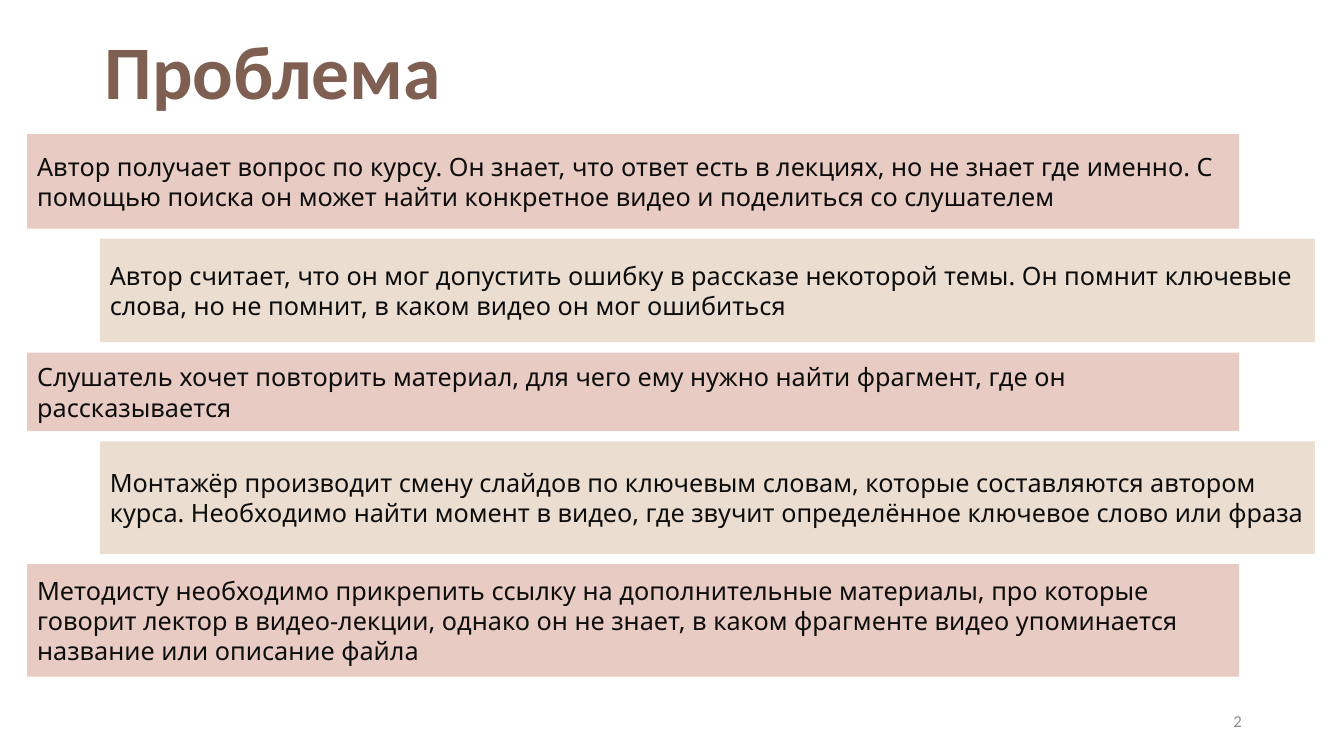
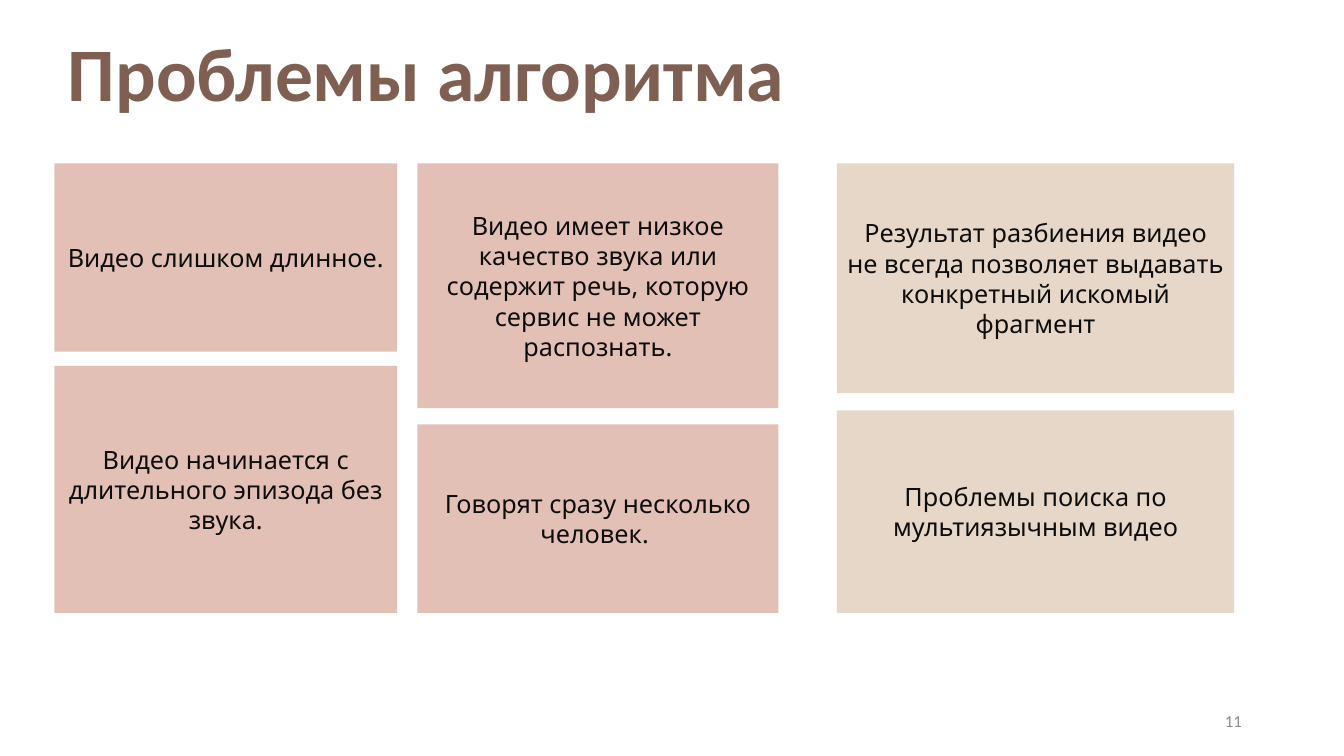
from lxml.etree import SubElement
from pptx import Presentation
from pptx.dml.color import RGBColor
from pptx.enum.shapes import MSO_SHAPE as Shape
from pptx.enum.text import MSO_ANCHOR as Anchor, MSO_AUTO_SIZE as Fit, PP_ALIGN as Align
from pptx.oxml import parse_xml
from pptx.oxml.ns import nsdecls, qn
from pptx.util import Inches, Pt

# Shared style
BROWN = RGBColor(0x7F, 0x5F, 0x52)
RED = RGBColor(0xA5, 0x30, 0x0F)
SAND = RGBColor(0xB2, 0x7D, 0x49)
INK = RGBColor(0x0D, 0x0D, 0x0D)
GREY = RGBColor(0x8C, 0x8C, 0x8C)
HEAD_FONT, BODY_FONT = "Calibri", "Noto Sans"
TITLE_OUTLINE = (f'<a:ln {nsdecls("a")} w="9525"><a:solidFill>'
                 '<a:srgbClr val="FFFFFF"/></a:solidFill></a:ln>')


def write(tf, text, font=BODY_FONT, size=18, color=INK, bold=False,
          align=Align.LEFT, anchor=Anchor.MIDDLE, wrap=True):
    """Put one formatted paragraph into a text frame and return its run."""
    tf.word_wrap = wrap
    tf.vertical_anchor = anchor
    p = tf.paragraphs[0]
    p.alignment = align
    r = p.add_run()
    r.text = text
    r.font.name, r.font.size, r.font.bold = font, Pt(size), bold
    r.font.color.rgb = color
    return r


class Deck:
    """Style and current slide; lengths are percentages of the slide."""

    def __init__(self):
        self.prs = Presentation()
        self.prs.slide_width, self.prs.slide_height = Inches(13.33), Inches(7.5)
        self.s = None

    def area(self, x, y, w, h):
        width, height = self.prs.slide_width, self.prs.slide_height
        return [int(share * full / 100) for share, full in
                ((x, width), (y, height), (w, width), (h, height))]

    def slide(self, title, title_area, number):
        self.s = self.prs.slides.add_slide(self.prs.slide_layouts[5])
        self.title(title, title_area)
        self.number(number)

    def title(self, text, area):
        sp = self.s.shapes.title
        sp.left, sp.top, sp.width, sp.height = self.area(*area)
        r = write(sp.text_frame, text, font=HEAD_FONT, size=54, color=BROWN,
                  bold=True, align=Align.CENTER, anchor=Anchor.TOP, wrap=False)
        sp.text_frame.auto_size = Fit.SHAPE_TO_FIT_TEXT
        r.font._element.insert(0, parse_xml(TITLE_OUTLINE))

    def number(self, value):
        sp = self.s.shapes.add_textbox(*self.area(70.65, 92.67, 22.5, 5.33))
        write(sp.text_frame, str(value), font=HEAD_FONT, size=12, color=GREY,
              align=Align.RIGHT)

    def card(self, text, area, color, opacity, align=Align.LEFT):
        sp = self.s.shapes.add_shape(Shape.RECTANGLE, *self.area(*area))
        sp.shadow.inherit = False
        sp.line.fill.background()
        sp.fill.solid()
        sp.fill.fore_color.rgb = color
        tint = sp.fill._xPr.find(".//" + qn("a:srgbClr"))
        SubElement(tint, qn("a:alpha"), val=str(opacity * 1000))
        write(sp.text_frame, text, align=align)


deck = Deck()

# Problem: staggered bands, stacked with an equal gap
deck.slide("Проблема", (6.9, 2.53, 26.78, 13.47), 2)
BANDS = [
    (12.5, "Автор получает вопрос по курсу. Он знает, что ответ есть в лекциях, "
           "но не знает где именно. С помощью поиска он может найти конкретное "
           "видео и поделиться со слушателем"),
    (13.7, "Автор считает, что он мог допустить ошибку в рассказе некоторой темы. "
           "Он помнит ключевые слова, но не помнит, в каком видео он мог ошибиться"),
    (10.4, "Слушатель хочет повторить материал, для чего ему нужно найти фрагмент, "
           "где он рассказывается"),
    (14.9, "Монтажёр производит смену слайдов по ключевым словам, которые "
           "составляются автором курса. Необходимо найти момент в видео, где "
           "звучит определённое ключевое слово или фраза"),
    (14.9, "Методисту необходимо прикрепить ссылку на дополнительные материалы, "
           "про которые говорит лектор в видео-лекции, однако он не знает, в каком "
           "фрагменте видео упоминается название или описание файла"),
]
BAND_GAP = 1.35
STAGGER = [(2.03, 90.17, RED), (7.43, 90.4, SAND)]
top = 17.73
for i, (height, text) in enumerate(BANDS):
    left, width, color = STAGGER[i % 2]
    deck.card(text, (left, top, width, height), color, opacity=25)
    top += height + BAND_GAP

# Algorithm problems: columns of two cards between common top and bottom edges
deck.slide("Проблемы алгоритма", (4.05, 2.8, 55.36, 13.47), 11)
TOP, BOTTOM = 21.6, 81.07
COLUMNS = [
    (4.05, 25.5, RED,
     (24.93, "Видео слишком длинное."),
     (32.67, "Видео начинается с длительного эпизода без звука.")),
    (31.06, 26.86, RED,
     (32.4, "Видео имеет низкое качество звука или содержит речь, которую "
            "сервис не может распознать."),
     (24.93, "Говорят сразу несколько человек.\u00a0")),
    (62.27, 29.56, SAND,
     (30.4, "Результат разбиения видео не всегда позволяет выдавать "
            "конкретный искомый фрагмент"),
     (26.8, "Проблемы поиска по мультиязычным видео")),
]
for left, width, color, (upper, upper_text), (lower, lower_text) in COLUMNS:
    for text, y, height in ((upper_text, TOP, upper),
                            (lower_text, BOTTOM - lower, lower)):
        deck.card(text, (left, y, width, height), color, opacity=30,
                  align=Align.CENTER)

deck.prs.save("out.pptx")
